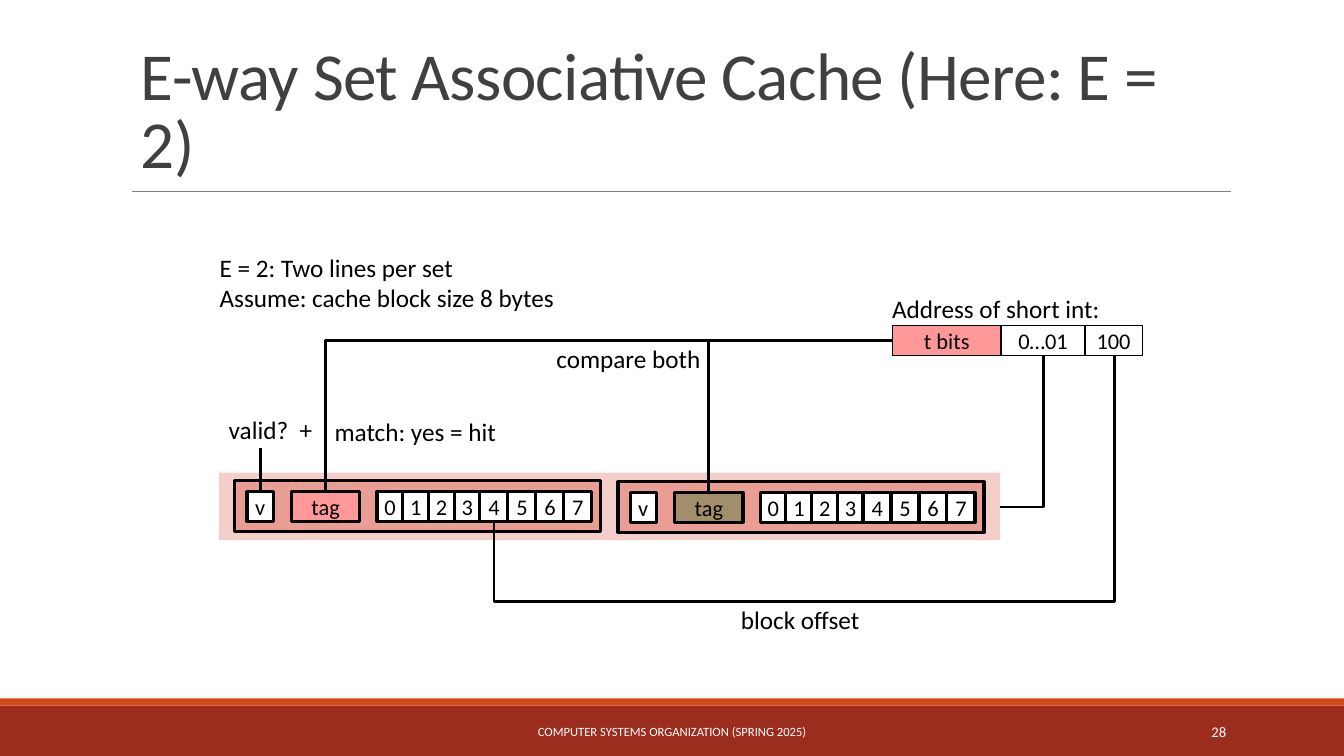
from dataclasses import dataclass

from pptx import Presentation
from pptx.dml.color import RGBColor
from pptx.enum.shapes import MSO_CONNECTOR, MSO_SHAPE
from pptx.enum.text import MSO_ANCHOR, MSO_AUTO_SIZE, PP_ALIGN
from pptx.oxml.ns import qn
from pptx.util import Inches, Pt
from lxml import etree

RECTANGLE = MSO_SHAPE.RECTANGLE
STRAIGHT, ELBOW = MSO_CONNECTOR.STRAIGHT, MSO_CONNECTOR.ELBOW
TOP, MIDDLE, BOTTOM = MSO_ANCHOR.TOP, MSO_ANCHOR.MIDDLE, MSO_ANCHOR.BOTTOM
LEFT, CENTER, RIGHT = PP_ALIGN.LEFT, PP_ALIGN.CENTER, PP_ALIGN.RIGHT
GROW = MSO_AUTO_SIZE.SHAPE_TO_FIT_TEXT

FONT = "Calibri"
BLACK, WHITE, PINK, OLIVE = "000000", "FFFFFF", "FF9999", "A28E6A"


@dataclass
class Box:
    x: float
    y: float
    w: float
    h: float
    fill: str
    text: str = ""
    outline: float = 0
    wrap: bool = False


@dataclass
class Label:
    x: float
    y: float
    w: float
    h: float
    lines: tuple[str, ...]
    size: float = 18
    color: str = BLACK
    align: PP_ALIGN = LEFT
    anchor: MSO_ANCHOR = TOP
    wrap: bool = False


@dataclass
class Wire:
    start: tuple[float, float]
    end: tuple[float, float]
    down_first: bool = False
    bend: float = 0


@dataclass
class CacheLine:
    x: float
    y: float
    tag_fill: str


def rgb(color: str) -> RGBColor:
    return RGBColor.from_string(color)


def write(frame, lines: tuple[str, ...], size: float, color: str, align: PP_ALIGN) -> None:
    for index, line in enumerate(lines):
        paragraph = frame.add_paragraph() if index else frame.paragraphs[0]
        paragraph.alignment = align
        run = paragraph.add_run()
        run.text = line
        run.font.name, run.font.size = FONT, Pt(size)
        run.font.color.rgb = rgb(color)


def draw_box(shapes, box: Box) -> None:
    shape = shapes.add_shape(RECTANGLE, Inches(box.x), Inches(box.y), Inches(box.w), Inches(box.h))
    shape.shadow.inherit = False
    shape.fill.solid()
    shape.fill.fore_color.rgb = rgb(box.fill)
    if box.outline:
        shape.line.color.rgb = rgb(BLACK)
        shape.line.width = Pt(box.outline)
    else:
        shape.line.fill.background()
    if box.text:
        shape.text_frame.word_wrap = box.wrap
        shape.text_frame.vertical_anchor = MIDDLE
        write(shape.text_frame, (box.text,), 16, BLACK, CENTER)


def draw_label(shapes, label: Label):
    frame = shapes.add_textbox(
        Inches(label.x), Inches(label.y), Inches(label.w), Inches(label.h)).text_frame
    frame.word_wrap = label.wrap
    frame.vertical_anchor = label.anchor
    if not label.wrap:
        frame.auto_size = GROW
    write(frame, label.lines, label.size, label.color, label.align)
    return frame


def draw_line(shapes, kind: MSO_CONNECTOR, x1: float, y1: float, x2: float, y2: float,
              color: str = BLACK, width: float = 2):
    line = shapes.add_connector(kind, Inches(x1), Inches(y1), Inches(x2), Inches(y2))
    line.line.color.rgb = rgb(color)
    line.line.width = Pt(width)
    etree.SubElement(line._element.spPr, qn("a:effectLst"))
    return line


def draw_wire(shapes, wire: Wire) -> None:
    """Route left and down; a bend is the fraction of the drop where the wire turns."""
    (x1, y1), (x2, y2) = wire.start, wire.end
    across, drop = x1 - x2, y2 - y1
    w, h = (drop, across) if wire.down_first else (across, drop)
    left, top = (x1 + x2 - w) / 2, (y1 + y2 - h) / 2
    properties = draw_line(shapes, ELBOW, left, top, left + w, top + h)._element.spPr
    transform = properties.find(qn("a:xfrm"))
    transform.set("rot", str((90 if wire.down_first else 180) * 60000))
    if not wire.down_first:
        transform.set("flipV", "1")
    geometry = properties.find(qn("a:prstGeom"))
    geometry.set("prst", "bentConnector3" if wire.bend else "bentConnector2")
    if wire.bend:
        guides = geometry.get_or_add_avLst()
        etree.SubElement(guides, qn("a:gd"), name="adj1", fmla=f"val {round(wire.bend * 100000)}")


def draw_cache_line(shapes, line: CacheLine) -> None:
    draw_box(shapes, Box(line.x, line.y, 3.63, 0.5, "E99D93", outline=2.25))
    # valid bit, tag, then four narrow and four wider bytes
    cells = [(0.12, 0.26, "v", WHITE), (0.56, 0.68, "tag", line.tag_fill)]
    for byte in range(8):
        offset = 1.41 + 0.255 * min(byte, 4) + 0.277 * max(byte - 4, 0)
        cells.append((offset, 0.26 if byte < 4 else 0.28, str(byte), WHITE))
    for offset, width, text, fill in cells:
        draw_box(shapes, Box(line.x + offset, line.y + 0.11, width, 0.29, fill, text, 2.25))


ADDRESS_FIELDS = (
    Box(8.85, 3.23, 1.08, 0.3, PINK, "t bits", 1, True),
    Box(9.93, 3.23, 0.83, 0.3, WHITE, "0…01", 1, True),
    Box(10.76, 3.23, 0.57, 0.3, WHITE, "100", 1, True),
)
CACHE_SET = Box(2.17, 4.69, 7.75, 0.67, "F4CEC9")
CACHE_LINES = (CacheLine(2.33, 4.77, PINK), CacheLine(6.13, 4.78, OLIVE))
WIRES = (
    Wire((10.35, 3.52), (9.92, 5.03), down_first=True),
    Wire((8.85, 3.38), (7.03, 4.89)),
    Wire((8.85, 3.38), (3.23, 4.88)),
    Wire((11.05, 3.52), (4.9, 5.17), down_first=True, bend=1.484),
)
LABELS = (
    Label(2.08, 2.45, 3.61, 0.71, ("E = 2: Two lines per set", "Assume: cache block size 8 bytes")),
    Label(8.75, 2.86, 2.33, 0.4, ("Address of short int:",)),
    Label(5.42, 3.36, 1.67, 0.4, ("compare both",)),
    Label(2.17, 4.06, 1.12, 0.4, ("valid?  +",)),
    Label(3.22, 4.08, 1.85, 0.4, ("match: yes = hit",)),
    Label(7.25, 5.95, 1.42, 0.4, ("block offset",)),
    Label(4.03, 7.06, 5.27, 0.4, ("COMPUTER SYSTEMS ORGANIZATION (SPRING 2025)",),
          9, WHITE, CENTER, MIDDLE, True),
    Label(10.83, 7.06, 1.43, 0.4, ("28",), 10.5, WHITE, RIGHT, MIDDLE, True),
)
TITLE = Label(1.3, 0.49, 10.87, 1.37, ("E-way Set Associative Cache (Here: E = 2)",),
              48, "404040", LEFT, BOTTOM, True)


def main() -> None:
    deck = Presentation()
    deck.slide_width, deck.slide_height = Inches(13.33), Inches(7.5)
    shapes = deck.slides.add_slide(deck.slide_layouts[6]).shapes

    # Footer bands, title and its rule
    draw_box(shapes, Box(0, 7, 13.33, 0.5, "9B2D1F"))
    draw_box(shapes, Box(0, 6.93, 13.33, 0.07, "D34817"))
    draw_line(shapes, STRAIGHT, 1.31, 1.9, 12.21, 1.9, "808080", 0.5)
    heading = draw_label(shapes, TITLE).paragraphs[0]
    heading.line_spacing = 0.85
    heading.runs[0].font._element.set("spc", "-50")

    # Address and cache set
    for field in ADDRESS_FIELDS:
        draw_box(shapes, field)
    draw_box(shapes, CACHE_SET)
    for cache_line in CACHE_LINES:
        draw_cache_line(shapes, cache_line)

    # Wires and labels
    for wire in WIRES:
        draw_wire(shapes, wire)
    draw_line(shapes, STRAIGHT, 2.58, 4.44, 2.58, 4.88)
    for label in LABELS:
        draw_label(shapes, label)

    deck.save("out.pptx")


if __name__ == "__main__":
    main()
